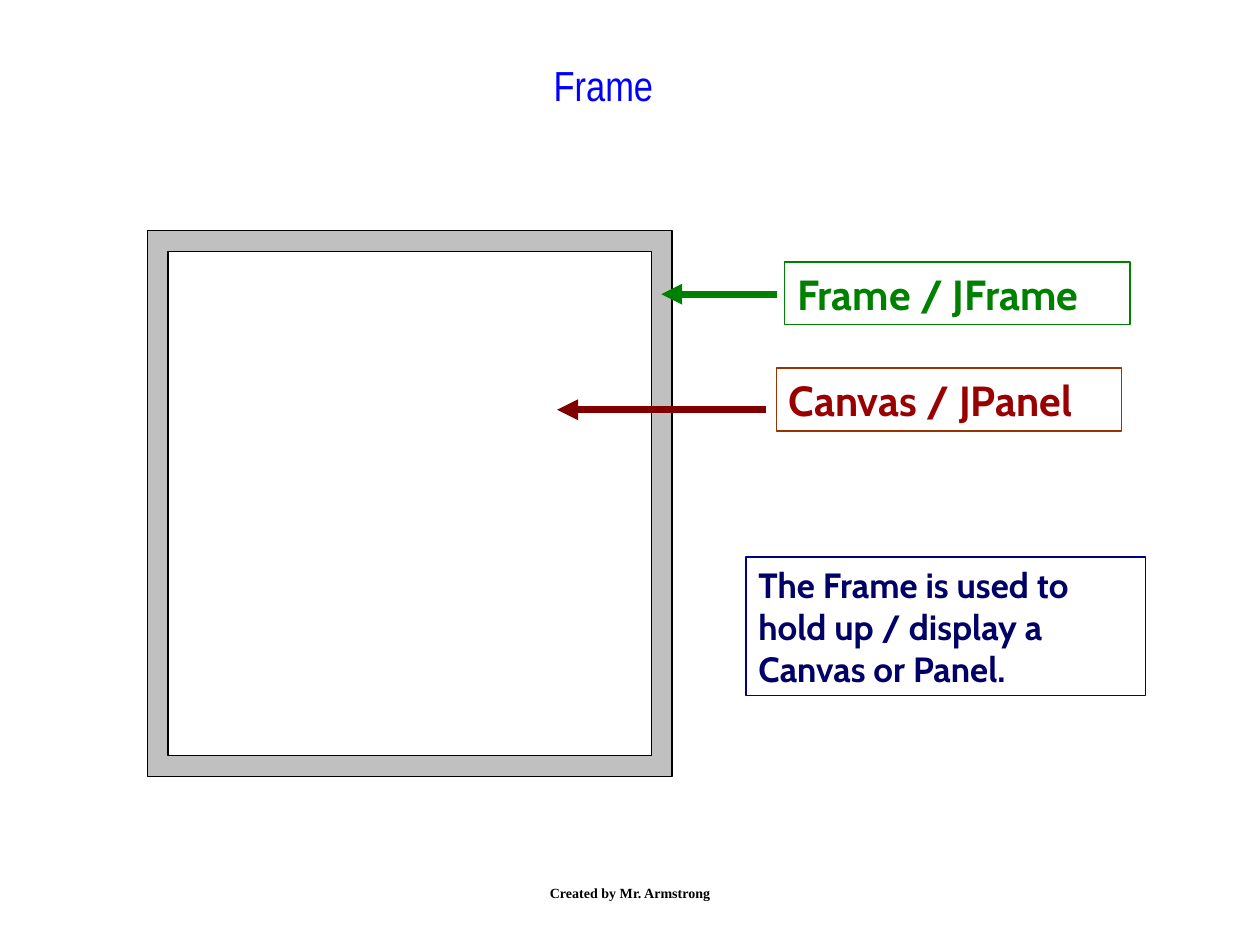
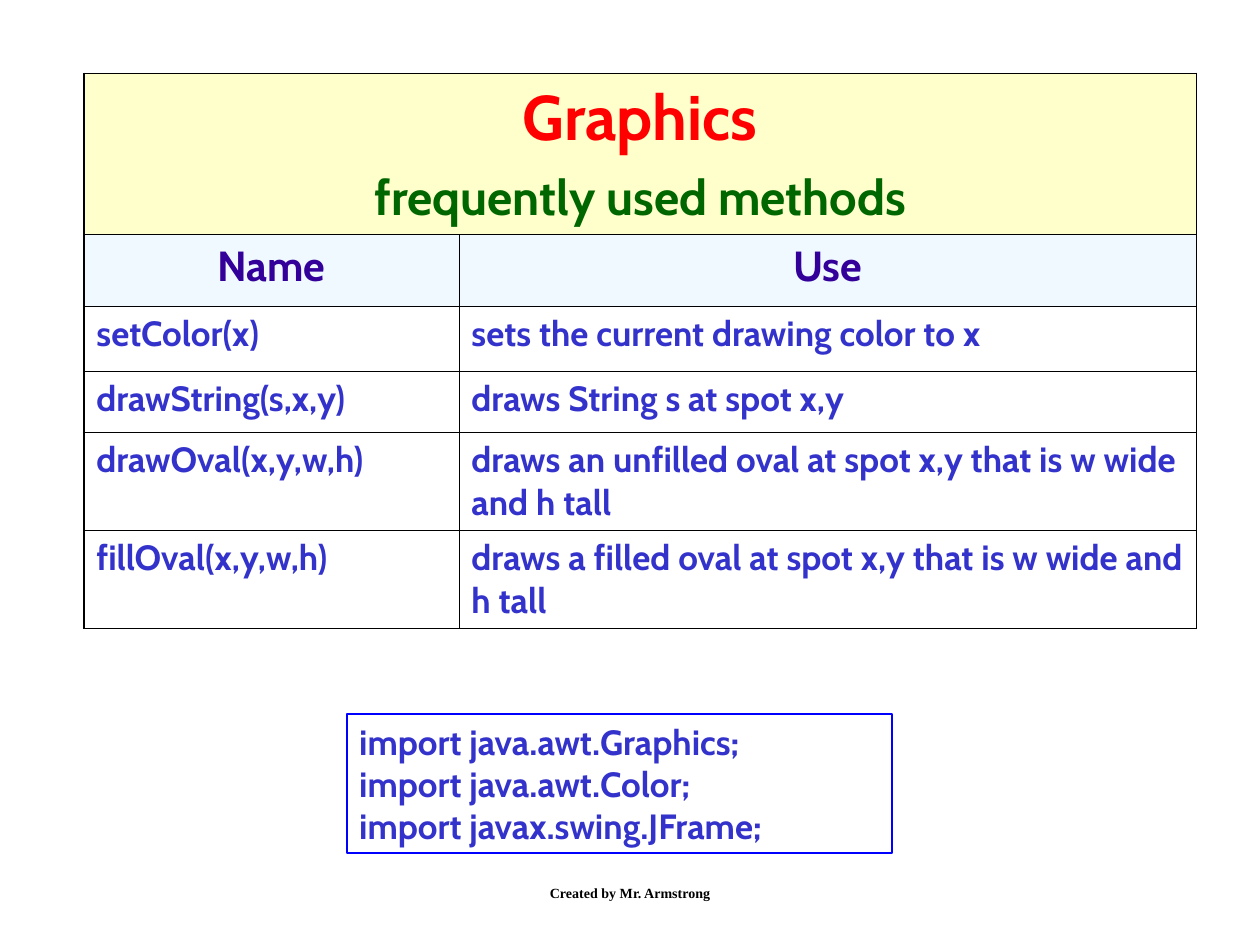
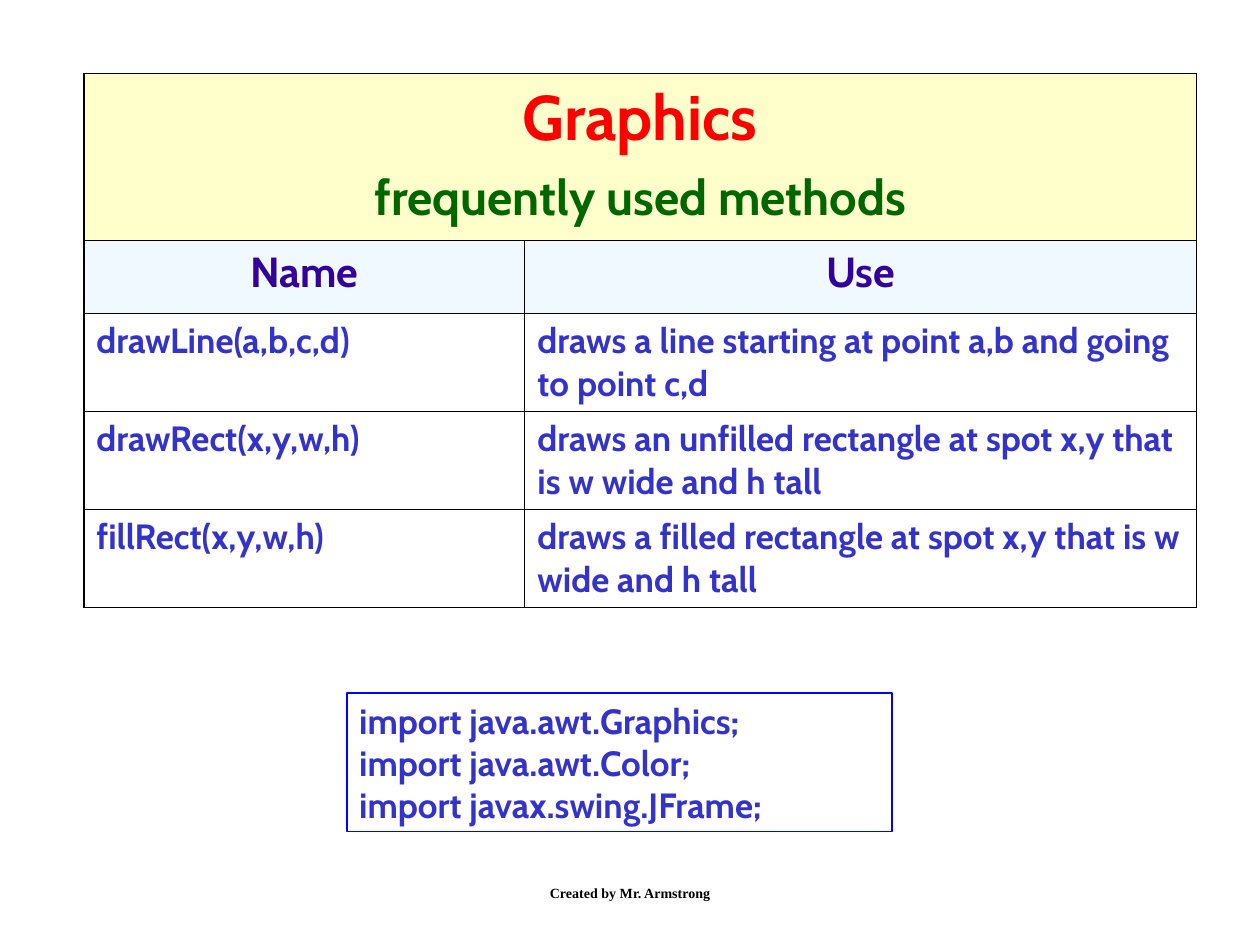
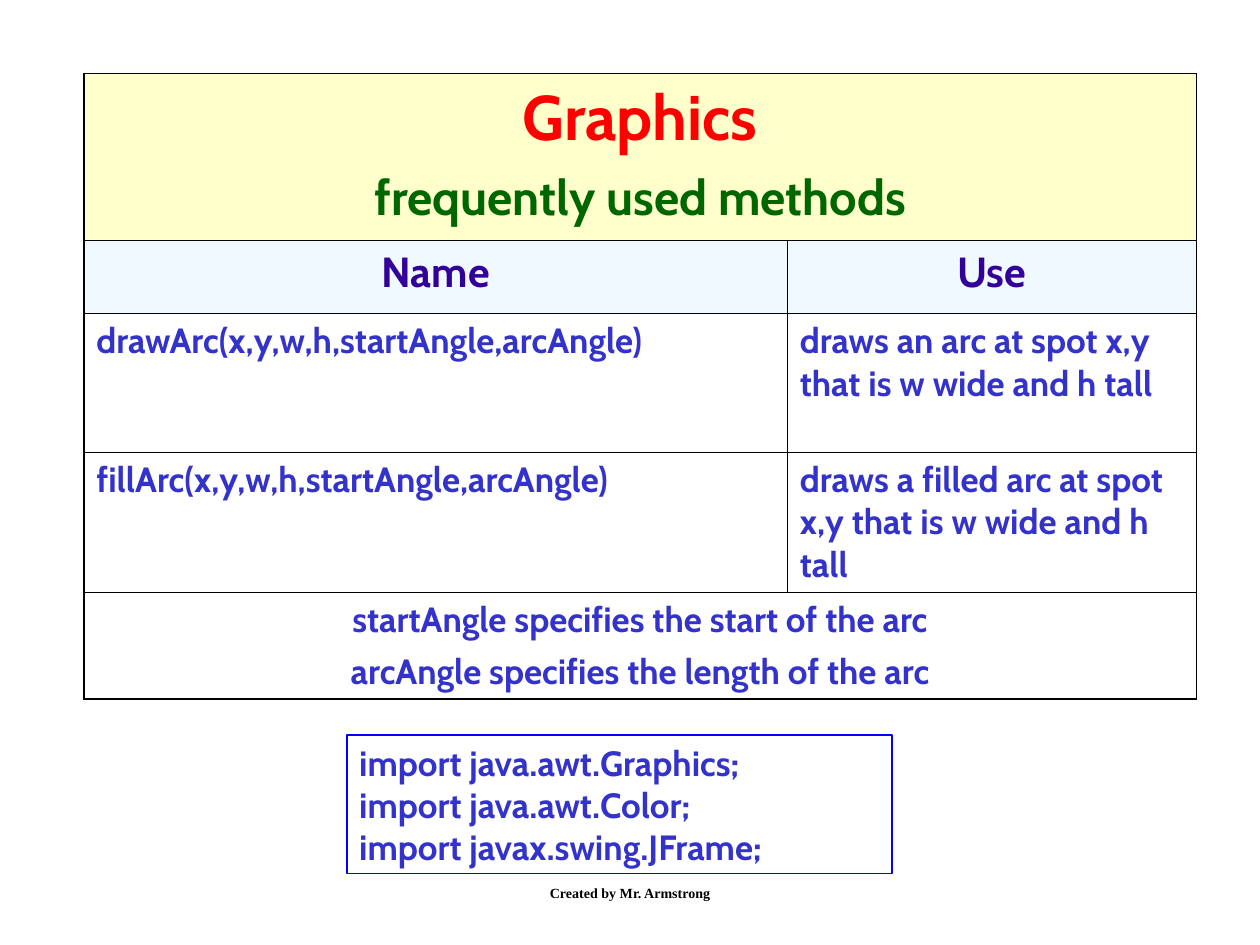
import pptx
import pptx.dml.color
import pptx.enum.shapes
import pptx.enum.text
import pptx.oxml
import pptx.oxml.ns
import pptx.util
from pptx.util import Cm

LEFT = pptx.enum.text.PP_ALIGN.LEFT
CENTER = pptx.enum.text.PP_ALIGN.CENTER
TOP = pptx.enum.text.MSO_ANCHOR.TOP
MIDDLE = pptx.enum.text.MSO_ANCHOR.MIDDLE
BODY_FONT = "Cabin"
BLACK, WHITE, GREEN, VIOLET = "000000", "FFFFFF", "008000", "3333CC"
THIN, THICK = 0.45, 1.08
NAMESPACE = pptx.oxml.ns.nsdecls("a")


def color(value):
    return pptx.dml.color.RGBColor.from_string(value)


def style(paragraph, size, value, align=LEFT, before=0, font=BODY_FONT, bold=True):
    """Format a paragraph and all its runs."""
    paragraph.alignment = align
    paragraph.space_before = pptx.util.Pt(before)
    for run in paragraph.runs:
        run.font.name = font
        run.font.size = pptx.util.Pt(size)
        run.font.bold = bold
        run.font.color.rgb = color(value)


deck = pptx.Presentation()
deck.slide_width, deck.slide_height = Cm(25.4), Cm(19.05)
title_only, blank = deck.slide_layouts[5], deck.slide_layouts[6]

# Frame diagram
frame_slide = deck.slides.add_slide(title_only)
title = frame_slide.shapes.title
title.left, title.top, title.width, title.height = Cm(2.74), Cm(1.07), Cm(18.85), Cm(2.11)
title.text_frame.text = "Frame"
title.text_frame.vertical_anchor = TOP
style(title.text_frame.paragraphs[0], 24, "0000FF", CENTER, font="Arial Narrow", bold=False)

for inset, fill in ((0, "C0C0C0"), (0.42, WHITE)):
    panel = frame_slide.shapes.add_shape(
        pptx.enum.shapes.MSO_SHAPE.RECTANGLE, Cm(2.97 + inset), Cm(4.65 + inset),
        Cm(10.58 - 2 * inset), Cm(11 - 2 * inset))
    panel.shadow.inherit = False
    panel.fill.solid()
    panel.fill.fore_color.rgb = color(fill)
    panel.line.color.rgb = color(BLACK)
    panel.line.width = pptx.util.Pt(0.75)

for start, end, y, value in ((15.44, 11.23, 8.26, "800000"), (15.67, 13.33, 5.93, GREEN)):
    arrow = frame_slide.shapes.add_connector(
        pptx.enum.shapes.MSO_CONNECTOR.STRAIGHT, Cm(start), Cm(y), Cm(end), Cm(y))
    arrow.line.color.rgb = color(value)
    arrow.line.width = pptx.util.Pt(4)
    arrow.line._get_or_add_ln().append(
        pptx.oxml.parse_xml(f'<a:tailEnd {NAMESPACE} type="triangle"/>'))
    arrow._element.spPr.append(pptx.oxml.parse_xml(f"<a:effectLst {NAMESPACE}/>"))

# Boxed text: slide, left, top, width, height, line colour, line width, text, size, text colour
boxes = [
    (frame_slide, 15.65, 7.42, 6.96, 1.27, "993300", 0.75, "Canvas / JPanel", 24, "990000"),
    (frame_slide, 15.82, 5.28, 6.96, 1.27, GREEN, 0.75, "Frame / JFrame", 24, GREEN),
    (frame_slide, 15.04, 11.23, 8.05, 2.79, "000080", 0.75,
     "The Frame is used to hold up / display a Canvas or Panel.", 20, "000066"),
]
imports = "import java.awt.Graphics;\nimport java.awt.Color;\nimport javax.swing.JFrame;"

# Method tables: column widths, row heights, top of the imports box, methods, closing note
method_pages = [
    ((7.56, 14.87), (3.23, 1.45, 1.3, 1.24, 1.96, 1.96), 14.4, [
        ("setColor(x)", "sets the current drawing color to x"),
        ("drawString(s,x,y)", "draws String s at spot x,y"),
        ("drawOval(x,y,w,h)", "draws an unfilled oval at spot x,y that is w wide and h tall"),
        ("fillOval(x,y,w,h)", "draws a filled oval at spot x,y that is w wide and h tall"),
    ], None),
    ((8.89, 13.54), (3.37, 1.47, 1.96, 1.96, 1.96), 13.97, [
        ("drawLine(a,b,c,d)", "draws a line starting at point a,b and going to point c,d"),
        ("drawRect(x,y,w,h)", "draws an unfilled rectangle at spot x,y that is w wide and h tall"),
        ("fillRect(x,y,w,h)", "draws a filled rectangle at spot x,y that is w wide and h tall"),
    ], None),
    ((14.18, 8.25), (3.37, 1.47, 2.79, 2.79, 2.14), 14.82, [
        ("drawArc(x,y,w,h,startAngle,arcAngle)", "draws an arc at spot x,y that is w wide and h tall"),
        ("fillArc(x,y,w,h,startAngle,arcAngle)", "draws a filled arc at spot x,y that is w wide and h tall"),
    ], "startAngle specifies the start of the arc\narcAngle specifies the length of the arc"),
]

for widths, heights, imports_top, methods, note in method_pages:
    page = deck.slides.add_slide(blank)
    rows = [("Graphics\nfrequently used methods", ""), ("Name", "Use"), *methods]
    if note:
        rows.append((note, ""))
    methods_table = page.shapes.add_table(
        len(rows), 2, Cm(1.69), Cm(1.48), Cm(sum(widths)), Cm(sum(heights))).table
    methods_table.first_row = methods_table.horz_banding = False
    for column, width in zip(methods_table.columns, widths):
        column.width = Cm(width)
    last_method = len(methods) + 1

    for r, texts in enumerate(rows):
        methods_table.rows[r].height = Cm(heights[r])
        spans = r == 0 or r > last_method
        if spans:
            methods_table.cell(r, 0).merge(methods_table.cell(r, 1))
        for c, text in enumerate(texts):
            cell = methods_table.cell(r, c)
            if text:
                cell.text_frame.text = text
            for paragraph in cell.text_frame.paragraphs:
                if r == 1:
                    style(paragraph, 24, "330099", CENTER, 6)
                else:
                    style(paragraph, 20, VIOLET, CENTER if spans else LEFT, 5)

            if r < 2:
                cell.fill.solid()
                cell.fill.fore_color.rgb = color("E1F4FF" if r else "FFFFCC")
            else:
                cell.fill.background()
            properties = cell._tc.get_or_add_tcPr()
            if r == 1:
                tint = properties.find(".//" + pptx.oxml.ns.qn("a:srgbClr"))
                tint.append(pptx.oxml.parse_xml(f'<a:alpha {NAMESPACE} val="50000"/>'))

            heavy_sides = {
                "lnL": c == 0, "lnR": c == 1 or spans,
                "lnT": r == 0 or r > last_method, "lnB": r >= last_method}
            for position, (side, heavy) in enumerate(heavy_sides.items()):
                line_width = pptx.util.Pt(THICK if heavy else THIN)
                properties.insert(position, pptx.oxml.parse_xml(
                    f'<a:{side} {NAMESPACE} w="{line_width}"><a:solidFill>'
                    f'<a:srgbClr val="{BLACK}"/></a:solidFill></a:{side}>'))

    heading, subheading = methods_table.cell(0, 0).text_frame.paragraphs
    style(heading, 36, "FF0000", CENTER, 9)
    style(subheading, 28, "006600", CENTER, 7)
    boxes.append((page, 6.99, imports_top, 11, 2.79, "0000FF", 1, imports, 20, VIOLET))

for slide, left, top, width, height, line, weight, text, size, value in boxes:
    label = slide.shapes.add_textbox(Cm(left), Cm(top), Cm(width), Cm(height))
    label.line.color.rgb = color(line)
    label.line.width = pptx.util.Pt(weight)
    label.text_frame.word_wrap = True
    label.text_frame.text = text
    for paragraph in label.text_frame.paragraphs:
        style(paragraph, size, value)

for slide in deck.slides:
    credit = slide.shapes.add_textbox(Cm(8.68), Cm(17.36), Cm(8.05), Cm(1.27)).text_frame
    credit.word_wrap = True
    credit.vertical_anchor = MIDDLE
    credit.text = "Created by Mr. Armstrong"
    style(credit.paragraphs[0], 8, BLACK, CENTER, font="Times New Roman")

deck.save("out.pptx")
